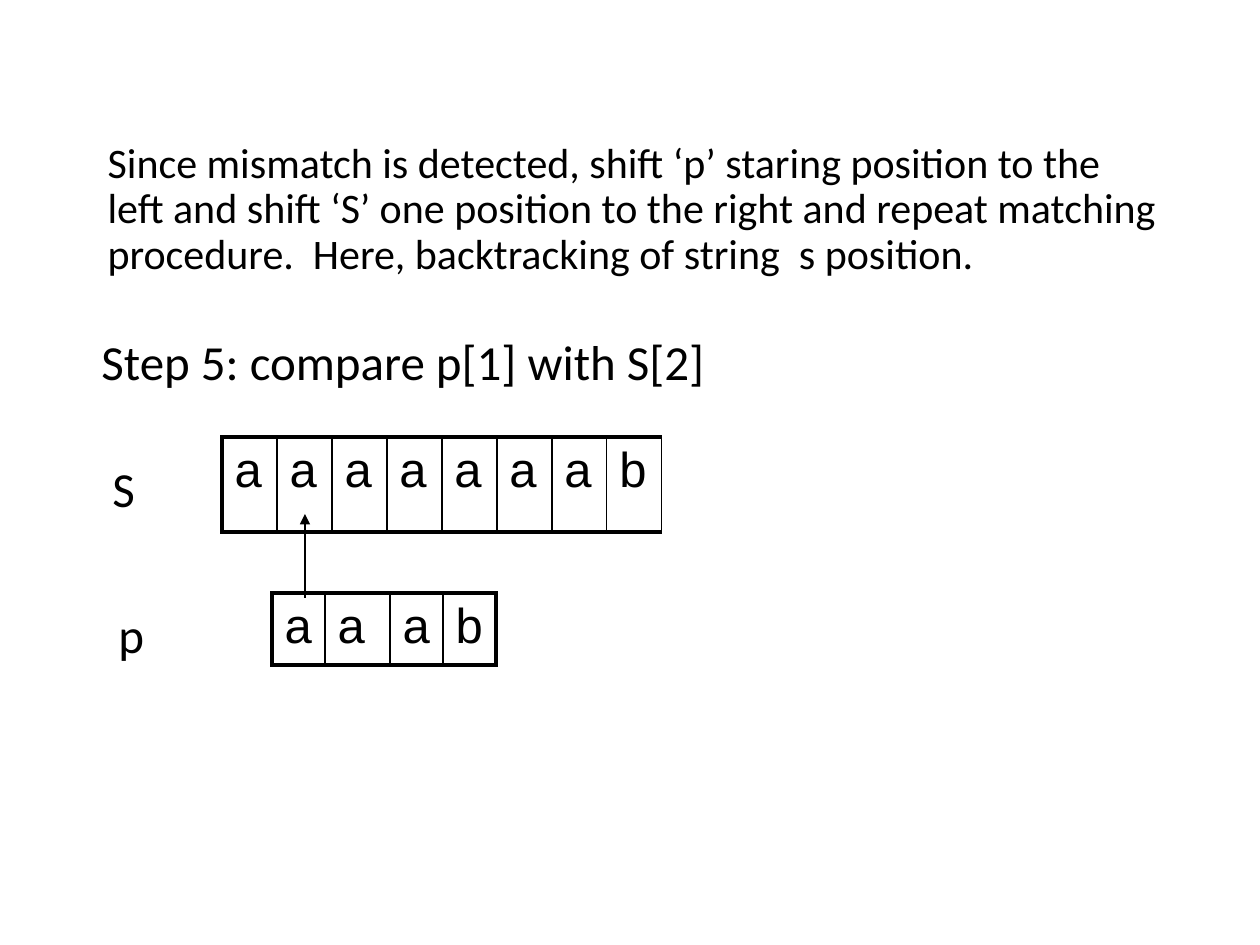
from dataclasses import dataclass

from lxml.etree import SubElement
from pptx import Presentation
from pptx.dml.color import RGBColor
from pptx.enum.shapes import MSO_CONNECTOR as Connector
from pptx.enum.text import MSO_ANCHOR as Anchor, MSO_AUTO_SIZE as AutoSize, PP_ALIGN as Align
from pptx.oxml.ns import qn
from pptx.util import Emu, Pt


@dataclass(frozen=True)
class Theme:
    ink: RGBColor = RGBColor(0, 0, 0)
    text_font: str = "Calibri"
    cell_font: str = "Arial"
    body_size: int = 24
    label_size: int = 28
    thick: float = 2.25
    thin: float = 1
    arrow: float = 0.75


THEME = Theme()
EMU_PER_PIXEL = 914400 / 126


def px(pixels):
    return Emu(round(pixels * EMU_PER_PIXEL))


def place(box):
    return [px(length) for length in box]


def style(paragraph, font_name, size):
    font = paragraph.font
    font.name, font.size, font.bold = font_name, Pt(size), False
    font.color.rgb = THEME.ink


def add_explanation(slide, box, text):
    explanation = slide.placeholders[1]
    explanation.left, explanation.top, explanation.width, explanation.height = place(box)
    frame = explanation.text_frame
    frame.text = text
    frame.vertical_anchor = Anchor.TOP
    frame.auto_size = AutoSize.NONE
    paragraph = frame.paragraphs[0]
    paragraph.alignment = Align.LEFT
    paragraph.line_spacing = 0.9
    paragraph.space_before = Pt(10)
    style(paragraph, THEME.text_font, THEME.body_size)


def add_label(slide, box, text, wrap=False):
    frame = slide.shapes.add_textbox(*place(box)).text_frame
    frame.text = text
    frame.word_wrap = wrap
    frame.auto_size = AutoSize.SHAPE_TO_FIT_TEXT
    style(frame.paragraphs[0], THEME.text_font, THEME.label_size)


def set_border(cell, side, width):
    line = SubElement(cell._tc.get_or_add_tcPr(), qn(f"a:ln{side}"), w=str(Pt(width)))
    fill = SubElement(line, qn("a:solidFill"))
    SubElement(fill, qn("a:srgbClr"), val=str(THEME.ink))


def add_string(slide, box, letters, widths, right_edge):
    frame = slide.shapes.add_table(1, len(letters), *place(box))
    table = frame.table
    table.first_row = table.horz_banding = False
    table.rows[0].height = px(box[3])
    last = len(letters) - 1
    for index, (letter, width) in enumerate(zip(letters, widths)):
        table.columns[index].width = px(width)
        cell = table.cell(0, index)
        cell.text = letter
        paragraph = cell.text_frame.paragraphs[0]
        style(paragraph, THEME.cell_font, THEME.label_size)
        spacing = SubElement(paragraph._p.get_or_add_pPr(), qn("a:spcBef"))
        paragraph._p.pPr.insert(0, spacing)
        SubElement(spacing, qn("a:spcPct"), val="20000")
        borders = {
            "L": THEME.thin if index else THEME.thick,
            "R": right_edge if index == last else THEME.thin,
            "T": THEME.thick,
            "B": THEME.thick,
        }
        for side, weight in borders.items():
            set_border(cell, side, weight)
        cell.fill.background()


def add_comparison_arrow(slide, x, start, end):
    arrow = slide.shapes.add_connector(Connector.STRAIGHT, px(x), px(start), px(x), px(end))
    arrow.line.color.rgb = THEME.ink
    arrow.line.width = Pt(THEME.arrow)
    SubElement(arrow.line._get_or_add_ln(), qn("a:tailEnd"), type="triangle")
    SubElement(arrow._element.spPr, qn("a:effectLst"))


def add_matching(slide, box):
    left, top, width, height = box
    add_label(slide, (left + 11, top + 15, 58, 72), "S")
    add_label(slide, (left + 17, top + 161, 53, 72), "p", wrap=True)
    add_comparison_arrow(slide, left + 216, top + 161, top + 77)
    add_string(slide, (left + 133, top, 440, 95), "aaaaaaab", [55] * 8, THEME.thin)
    add_string(slide, (left + 183, top + 156, 224, 72), "aaab", [53, 65, 53, 53], THEME.thick)


def build_step_slide(deck):
    slide = deck.slides.add_slide(deck.slide_layouts[0])
    title = slide.shapes.title._element
    title.getparent().remove(title)
    add_explanation(
        slide,
        (95, 136, 1081, 746),
        "Since mismatch is detected, shift ‘p’ staring position to the left and shift ‘S’ "
        "one position to the right and repeat matching procedure.  Here, backtracking of "
        "string  s position.",
    )
    add_label(slide, (89, 325, 636, 72), "Step 5: compare p[1] with S[2]")
    add_matching(slide, (89, 437, 573, 228))


deck = Presentation()
deck.slide_width, deck.slide_height = px(1260), px(945)
build_step_slide(deck)
deck.save("out.pptx")
